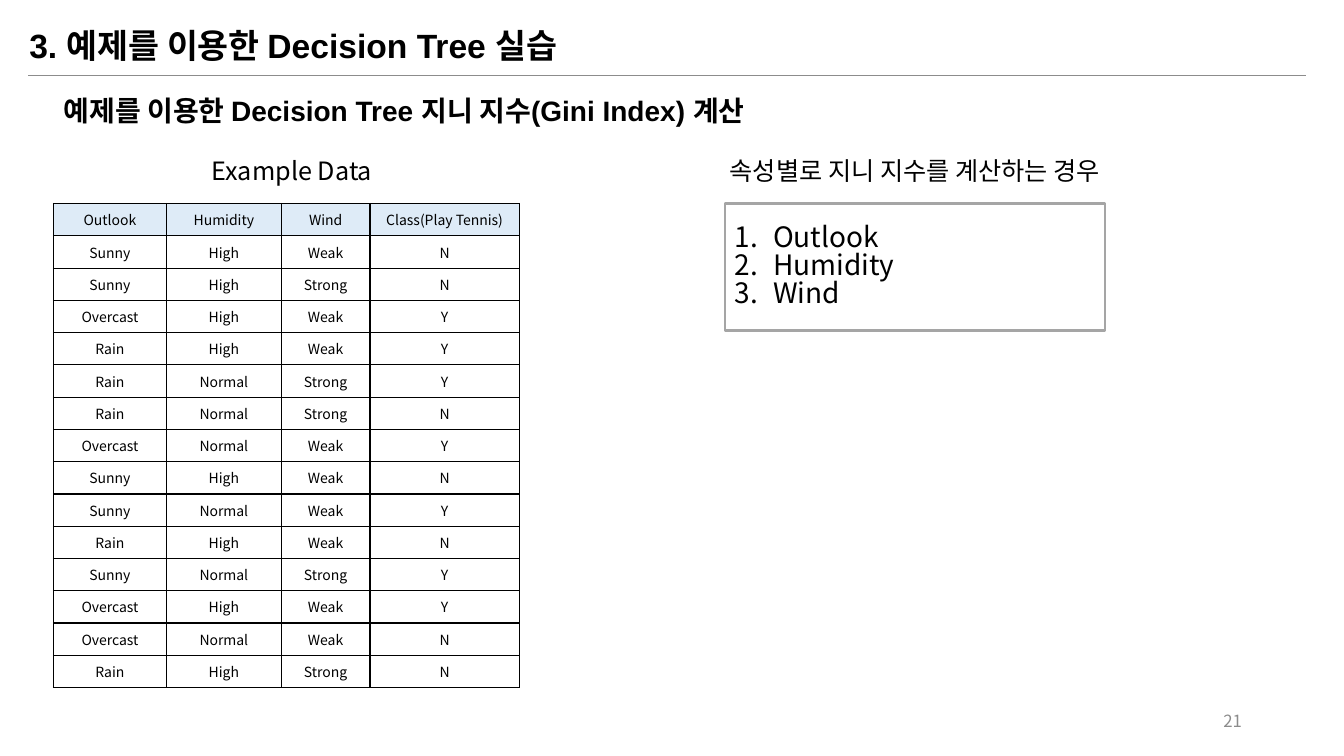
from dataclasses import dataclass

from lxml.etree import SubElement
from pptx import Presentation
from pptx.dml.color import RGBColor
from pptx.enum.shapes import MSO_CONNECTOR, MSO_SHAPE
from pptx.enum.text import MSO_ANCHOR, MSO_AUTO_SIZE, PP_ALIGN
from pptx.oxml.ns import qn
from pptx.util import Inches, Pt


@dataclass(frozen=True)
class Theme:
    """Colours, fonts and type sizes of the slide."""
    ink: str = "000000"
    muted: str = "8C8C8C"
    frame: str = "A5A5A5"
    header: str = "DEEBF7"
    heading_font: str = "Arial"
    body_font: str = "Noto Sans CJK KR"
    title: int = 24
    subtitle: int = 20
    listing: int = 20
    caption: int = 18
    number: int = 12
    cell: int = 10


THEME = Theme()


def write(tf, text, size, font=THEME.body_font, color=THEME.ink, bold=False,
          align=PP_ALIGN.LEFT, anchor=MSO_ANCHOR.TOP, spacing=1.0, numbered=False):
    """Write each line of text as a formatted paragraph."""
    tf.word_wrap = True
    tf.vertical_anchor = anchor
    for i, line in enumerate(text.split("\n")):
        p = tf.add_paragraph() if i else tf.paragraphs[0]
        p.alignment = align
        p.line_spacing = spacing
        p.space_before = p.space_after = Pt(0)
        if numbered:
            pPr = p._p.get_or_add_pPr()
            pPr.set("marL", str(Inches(0.38)))
            pPr.set("indent", str(-Inches(0.38)))
            SubElement(pPr, qn("a:buFont"), typeface=font)
            SubElement(pPr, qn("a:buAutoNum"), type="arabicPeriod")
        r = p.add_run()
        r.text = line
        r.font.size = Pt(size)
        r.font.bold = bold
        r.font.name = font
        r.font.color.rgb = RGBColor.from_string(color)
        SubElement(r._r.get_or_add_rPr(), qn("a:ea"), typeface=THEME.body_font)


class Board:
    """Draws on one slide, with lengths in percent of its width and height."""

    def __init__(self, prs, theme):
        self.prs, self.theme = prs, theme
        self.slide = prs.slides.add_slide(prs.slide_layouts[5])

    def x(self, share):
        """Turn a percentage of the width into a length."""
        return round(self.prs.slide_width * share / 100)

    def y(self, share):
        """Turn a percentage of the height into a length."""
        return round(self.prs.slide_height * share / 100)

    def box(self, left, top, width, height):
        """Return a frame as lengths."""
        return self.x(left), self.y(top), self.x(width), self.y(height)

    def title(self, text, *frame):
        """Place and format the title placeholder."""
        sp = self.slide.shapes.title
        sp.left, sp.top, sp.width, sp.height = self.box(*frame)
        sp.text_frame.auto_size = MSO_AUTO_SIZE.NONE
        write(sp.text_frame, text, self.theme.title, font=self.theme.heading_font,
              bold=True, spacing=0.9)

    def text(self, text, *frame, **style):
        """Add a text box."""
        sp = self.slide.shapes.add_textbox(*self.box(*frame))
        write(sp.text_frame, text, **style)

    def rule(self, left, right, top):
        """Add a thin horizontal line."""
        sp = self.slide.shapes.add_connector(
            MSO_CONNECTOR.STRAIGHT, self.x(left), self.y(top), self.x(right), self.y(top))
        sp.line.color.rgb = RGBColor.from_string(self.theme.muted)
        sp.line.width = Pt(0.5)
        SubElement(sp._element.spPr, qn("a:effectLst"))

    def numbered_box(self, text, *frame):
        """Add a framed numbered list."""
        sp = self.slide.shapes.add_shape(MSO_SHAPE.RECTANGLE, *self.box(*frame))
        sp.shadow.inherit = False
        sp.fill.background()
        sp.line.color.rgb = RGBColor.from_string(self.theme.frame)
        sp.line.width = Pt(1.5)
        write(sp.text_frame, text, self.theme.listing, anchor=MSO_ANCHOR.MIDDLE,
              spacing=0.83, numbered=True)

    def table(self, rows, left, top, widths, row_height):
        """Add a bordered table with a tinted header row."""
        frame = self.box(left, top, sum(widths), row_height * len(rows))
        table = self.slide.shapes.add_table(len(rows), len(widths), *frame).table
        table.horz_banding = table.first_row = False
        for column, width in zip(table.columns, widths):
            column.width = self.x(width)
        for i, row in enumerate(rows):
            table.rows[i].height = self.y(row_height)
            for j, value in enumerate(row):
                self.cell(table.cell(i, j), value, header=i == 0)

    def cell(self, cell, value, header):
        """Fill, border and write one table cell."""
        tcPr = cell._tc.get_or_add_tcPr()
        for side in ("lnL", "lnR", "lnT", "lnB"):
            ln = SubElement(tcPr, qn(f"a:{side}"), w=str(Pt(1)))
            SubElement(SubElement(ln, qn("a:solidFill")), qn("a:srgbClr"), val=self.theme.ink)
        if header:
            cell.fill.solid()
            cell.fill.fore_color.rgb = RGBColor.from_string(self.theme.header)
        else:
            cell.fill.background()
        cell.vertical_anchor = MSO_ANCHOR.MIDDLE
        write(cell.text_frame, value, self.theme.cell, align=PP_ALIGN.CENTER,
              anchor=MSO_ANCHOR.MIDDLE)


TENNIS = """Outlook,Humidity,Wind,Class(Play Tennis)
Sunny,High,Weak,N
Sunny,High,Strong,N
Overcast,High,Weak,Y
Rain,High,Weak,Y
Rain,Normal,Strong,Y
Rain,Normal,Strong,N
Overcast,Normal,Weak,Y
Sunny,High,Weak,N
Sunny,Normal,Weak,Y
Rain,High,Weak,N
Sunny,Normal,Strong,Y
Overcast,High,Weak,Y
Overcast,Normal,Weak,N
Rain,High,Strong,N"""


def main():
    """Build and save the slide."""
    prs = Presentation()
    prs.slide_width, prs.slide_height = Inches(13.33), Inches(7.5)
    s = Board(prs, THEME)
    caption = dict(size=THEME.caption, align=PP_ALIGN.CENTER, spacing=0.9)

    s.rule(2.1, 97.2, 10)
    s.title("3. 예제를 이용한 Decision Tree 실습", 1.43, 3.2, 68.6, 6.67)
    s.text("예제를 이용한 Decision Tree 지니 지수(Gini Index) 계산", 3.98, 12.27, 68.6, 5.87,
           size=THEME.subtitle, font=THEME.heading_font, bold=True, spacing=0.9)
    s.text("21", 70.65, 92.67, 22.5, 5.33, size=THEME.number, color=THEME.muted,
           align=PP_ALIGN.RIGHT, anchor=MSO_ANCHOR.MIDDLE)
    s.table([line.split(",") for line in TENNIS.split("\n")],
            3.98, 26.93, (8.4, 8.55, 6.6, 11.1), 4.27)
    s.text("Example Data", 13.88, 20.4, 15.68, 5.33, **caption)
    s.numbered_box("Outlook\nHumidity\nWind", 53.94, 26.93, 28.28, 16.8)
    s.text("속성별로 지니 지수를 계산하는 경우", 50.11, 20.4, 35.93, 5.33, **caption)
    prs.save("out.pptx")


if __name__ == "__main__":
    main()
